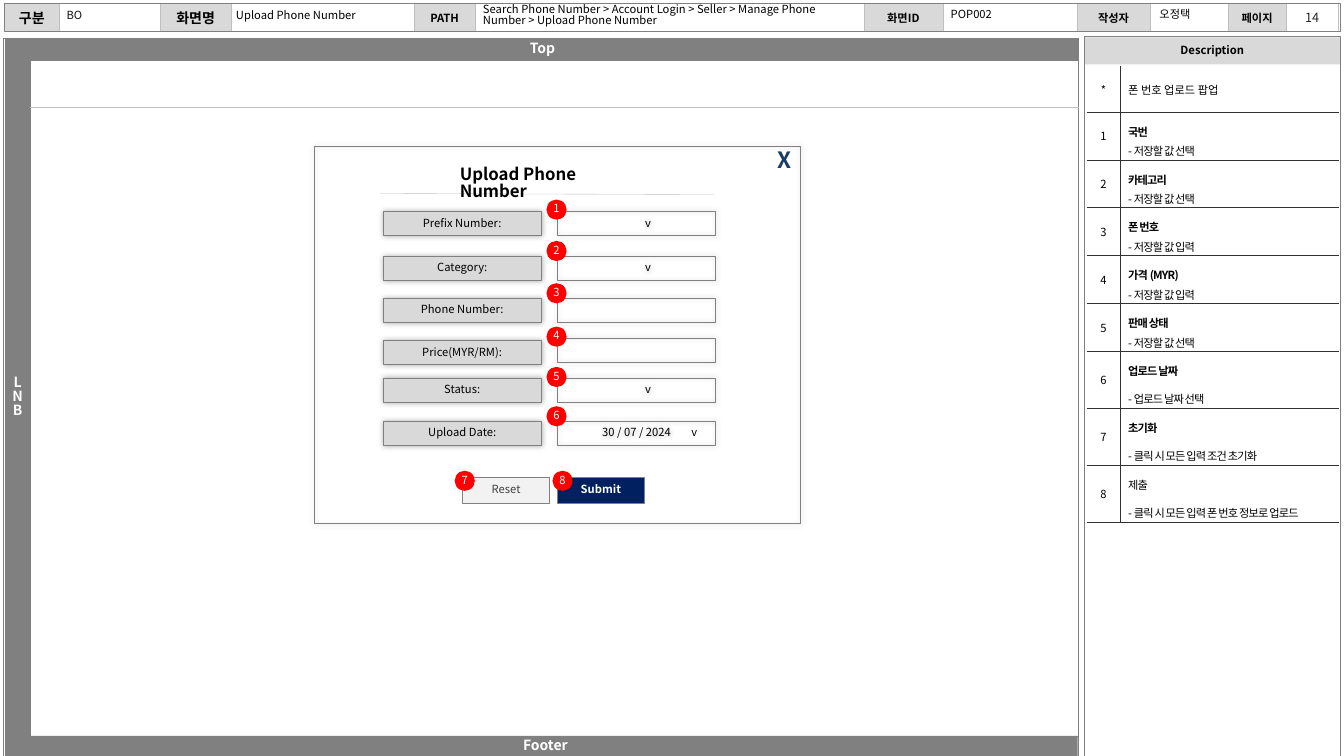
from dataclasses import dataclass

from lxml.etree import SubElement
from pptx import Presentation
from pptx.dml.color import RGBColor
from pptx.enum.shapes import MSO_CONNECTOR, MSO_SHAPE
from pptx.enum.text import MSO_ANCHOR, MSO_AUTO_SIZE, PP_ALIGN
from pptx.oxml.ns import qn
from pptx.util import Inches, Pt


@dataclass(frozen=True)
class Theme:
    """Colours, type sizes and line widths of the screen specification."""
    font: str = "Noto Sans CJK KR"
    white: str = "FFFFFF"
    black: str = "000000"
    dark: str = "262626"
    value: str = "111111"
    muted: str = "404040"
    frame: str = "808080"
    rule: str = "BFBFBF"
    grid: str = "313131"
    label: str = "D9D9D9"
    pale: str = "F2F2F2"
    navy: str = "002060"
    close: str = "1C3D62"
    badge: str = "FF0000"
    small: int = 8
    folio: int = 9
    medium: int = 10
    heading: int = 12
    large: int = 16
    hair: float = 0.25
    thin: float = 0.5
    tight: float = 0.82
    loose: float = 1.2


class SpecPage:
    """Draws one specification page on a grid of tenths of an inch."""

    def __init__(self, deck, theme):
        """Open a titled page in the deck."""
        self.theme = theme
        self.page = deck.slides.add_slide(deck.slide_layouts[5])
        self.shapes = self.page.shapes

    def cells(self, *lengths):
        """Turn grid columns and rows into lengths."""
        return [Inches(length / 10) for length in lengths]

    def style(self, para, size=None, color=None, bold=False, align=PP_ALIGN.LEFT,
              spacing=None, after=0, tracking=0):
        """Format a whole paragraph."""
        font = para.font
        font.size, font.bold, font.name = Pt(size or self.theme.small), bold, self.theme.font
        font.color.rgb = RGBColor.from_string(color or self.theme.black)
        properties = font._element
        properties.set("spc", str(tracking))
        SubElement(properties, qn("a:ea"), typeface=self.theme.font)
        para.alignment, para.space_after = align, Pt(after)
        para.line_spacing = spacing or self.theme.tight

    def fill_text(self, holder, text, anchor=MSO_ANCHOR.MIDDLE, insets=(0.5, 0.5, 0.5, 0.5),
                  **look):
        """Put one styled paragraph per line into a shape."""
        frame = holder.text_frame
        frame.word_wrap, frame.auto_size = True, MSO_AUTO_SIZE.NONE
        frame.vertical_anchor = anchor
        (frame.margin_left, frame.margin_top,
         frame.margin_right, frame.margin_bottom) = self.cells(*insets)
        frame.text = text
        for para in frame.paragraphs:
            self.style(para, **look)

    def box(self, place, fill=None, line=None, width=None, text="", kind=MSO_SHAPE.RECTANGLE,
            shadow=False, **look):
        """Add a preset shape with optional text and soft shadow."""
        shape = self.shapes.add_shape(kind, *self.cells(*place))
        shape.shadow.inherit = False
        if fill:
            shape.fill.solid()
            shape.fill.fore_color.rgb = RGBColor.from_string(fill)
        else:
            shape.fill.background()
        if line:
            shape.line.color.rgb = RGBColor.from_string(line)
            shape.line.width = Pt(width or self.theme.thin)
        else:
            shape.line.fill.background()
        if shadow:
            effects = shape._element.spPr.find(qn("a:effectLst"))
            outer = SubElement(effects, qn("a:outerShdw"), blurRad=str(Pt(4)), dist="0")
            color = SubElement(outer, qn("a:srgbClr"), val=self.theme.black)
            SubElement(color, qn("a:alpha"), val="30000")
        if text:
            self.fill_text(shape, text,
                           **{"align": PP_ALIGN.CENTER, "insets": (0, 0, 0, 0), **look})

    def text(self, place, text, anchor=MSO_ANCHOR.TOP, **look):
        """Add a text box."""
        self.fill_text(self.shapes.add_textbox(*self.cells(*place)), text, anchor, **look)

    def title(self, place, text, **look):
        """Place and format the page title above what is drawn so far."""
        title = self.shapes.title
        self.shapes._spTree.append(title._element)
        title.left, title.top, title.width, title.height = self.cells(*place)
        self.fill_text(title, text, MSO_ANCHOR.TOP, **look)

    def rule(self, *ends):
        """Add a hairline between two grid points."""
        line = self.shapes.add_connector(MSO_CONNECTOR.STRAIGHT, *self.cells(*ends))
        line.line.color.rgb = RGBColor.from_string(self.theme.rule)
        line.line.width = Pt(self.theme.hair)
        SubElement(line._element.spPr, qn("a:effectLst"))

    def badge(self, left, top, number):
        """Add a numbered red marker."""
        self.box((left, top, 2, 2), self.theme.badge, text=str(number),
                 kind=MSO_SHAPE.OVAL, color=self.theme.white)

    def table(self, left, top, columns, rows):
        """Add an unstyled table with the given column widths and row heights."""
        place = self.cells(left, top, sum(columns), sum(rows))
        table = self.shapes.add_table(len(rows), len(columns), *place).table
        table.first_row = table.horz_banding = False
        for column, width in zip(table.columns, self.cells(*columns)):
            column.width = width
        for row, height in zip(table.rows, self.cells(*rows)):
            row.height = height
        return table

    def cell(self, cell, text, borders, fill=None, insets=(0.8, 0.5, 0.8, 0.5),
             anchor=MSO_ANCHOR.MIDDLE):
        """Fill a table cell and draw its left, right, top and bottom borders."""
        (cell.margin_left, cell.margin_top,
         cell.margin_right, cell.margin_bottom) = self.cells(*insets)
        cell.vertical_anchor = anchor
        cell.text_frame.text = text
        properties = cell._tc.get_or_add_tcPr()
        for side, color in zip("LRTB", borders):
            line = SubElement(properties, qn(f"a:ln{side}"), w=str(Pt(self.theme.hair)))
            SubElement(SubElement(line, qn("a:solidFill")), qn("a:srgbClr"), val=color)
        if fill:
            cell.fill.solid()
            cell.fill.fore_color.rgb = RGBColor.from_string(fill)
        else:
            cell.fill.background()
        if not text:
            SubElement(cell.text_frame.paragraphs[0]._p, qn("a:endParaRPr"),
                       sz=str(100 * self.theme.small))
        return cell.text_frame.paragraphs


def draw_frame(spec, theme):
    """Draw the header table, the bars and the description panel."""
    spec.box((0.3, 3.8, 106.7, 71.2), theme.white, theme.frame)
    spec.box((107.6, 3.7, 25.3, 2.7), theme.label, text="Description", bold=True)
    widths = (5.5, 10, 7, 18.2, 6, 38.6, 7.8, 13.3, 7.3, 7.7, 5.8, 5.1)
    labels = ("구분", "화면명", "PATH", "화면ID", "작성자", "페이지")
    header = spec.table(0.4, 0.3, widths, (2.8,))
    borders = (theme.rule, theme.rule, theme.white, theme.white)
    for index, label in enumerate(labels):
        size = theme.medium if index < 2 else theme.small
        para, = spec.cell(header.cell(0, 2 * index), label, borders, theme.label,
                          (0.4, 0.4, 0.4, 0.4))
        spec.style(para, size, bold=True, align=PP_ALIGN.CENTER, spacing=1)
        spec.cell(header.cell(0, 2 * index + 1), "", borders)
    spec.box((0.4, 0.3, 132.5, 2.8), line=theme.frame)
    spec.box((107.6, 3.6, 25.3, 71.4), line=theme.frame)
    bars = (((0.5, 3.8, 2.5, 71.2), "LNB"), ((1.3, 73, 105.6, 2), "Footer"),
            ((0.7, 3.8, 106.2, 2.2), "Top"))
    for place, text in bars:
        spec.box(place, theme.frame, theme.frame, theme.hair, text, size=theme.medium,
                 color=theme.white, bold=True, insets=(0.4, 0, 0.4, 0))
    values = (((6.1, 0.6, 9.5, 2.4), "BO", theme.value),
              ((22.9, 0.6, 18.1, 2.4), "Upload Phone Number", theme.black),
              ((47.4, 0, 38.5, 3.7), "Search Phone Number > Account Login > Seller > Manage Phone\n"
               "Number > Upload Phone Number", theme.black),
              ((93.8, 0.5, 7.3, 2.4), "POP002", theme.black),
              ((114.5, 0.5, 7.3, 2.4), "오정택", theme.black))
    for place, text, color in values:
        spec.text(place, text, color=color)
    spec.text((127.8, 0.5, 4.7, 2.8), "14", MSO_ANCHOR.MIDDLE, size=theme.folio,
              color=theme.dark, align=PP_ALIGN.CENTER)
    spec.rule(3, 10.6, 107, 10.6)


def draw_popup(spec, theme):
    """Draw the upload dialog with its fields and buttons."""
    spec.box((31.2, 14.5, 48.2, 37.4), line=theme.frame, shadow=True)
    spec.rule(37.7, 19.2, 70.8, 19.3)
    spec.title((45.1, 16.1, 14, 4.8), "Upload Phone Number", size=theme.heading, bold=True)
    spec.text((73, 14.5, 6.5, 3.7), "X", size=theme.large, color=theme.close, bold=True,
              align=PP_ALIGN.RIGHT, insets=(1, 0.5, 1, 0.5))
    picker = {"text": "v", "align": PP_ALIGN.LEFT, "insets": (8.7, 0, 0, 0)}
    fields = (("Prefix Number:", 21, 21, 19.8, picker), ("Category:", 25.4, 25.4, 23.9, picker),
              ("Phone Number:", 29.6, 29.6, 28.1, {}), ("Price(MYR/RM):", 33.8, 33.6, 32.4, {}),
              ("Status:", 37.5, 37.5, 36.4, picker),
              ("Upload Date:", 41.8, 41.8, 40.3, {"text": "30 / 07 / 2024"}))
    for number, (label, label_top, field_top, badge_top, content) in enumerate(fields, 1):
        spec.box((38, label_top, 15.7, 2.4), theme.label, theme.frame, text=label, shadow=True)
        spec.box((55.3, field_top, 15.7, 2.4), line=theme.frame, shadow=True, **content)
        spec.badge(54.2, badge_top, number)
    spec.text((67.6, 41.8, 5.7, 2.4), "v", MSO_ANCHOR.MIDDLE, insets=(1, 0, 1, 0))
    buttons = (("Reset", 45.9, 45.1, theme.pale, theme.muted, False),
               ("Submit", 55.3, 54.8, theme.navy, theme.white, True))
    for number, (text, left, badge_left, fill, color, bold) in enumerate(buttons, 7):
        spec.box((left, 47.4, 8.6, 2.5), fill, theme.frame, text=text, color=color, bold=bold)
        spec.badge(badge_left, 46.7, number)


def draw_descriptions(spec, theme):
    """List what each numbered element does."""
    notes = (("폰 번호 업로드 팝업",), ("국번", "- 저장할 값 선택"), ("카테고리", "- 저장할 값 선택"),
             ("폰 번호", "- 저장할 값 입력"), ("가격 (MYR)", "- 저장할 값 입력"),
             ("판매 상태", "- 저장할 값 선택"), ("업로드 날짜", "- 업로드 날짜 선택"),
             ("초기화", "- 클릭 시 모든 입력 조건 초기화"),
             ("제출", "- 클릭 시 모든 입력 폰 번호 정보로 업로드"))
    table = spec.table(107.8, 6.6, (3.3, 21.7), (4.5,) + (4.75,) * 5 + (5.65,) * 3)
    for row, lines in enumerate(notes):
        top = theme.grid if row else theme.white
        para, = spec.cell(table.cell(row, 0), str(row) if row else "*",
                          (theme.white, theme.grid, top, theme.grid), theme.white)
        spec.style(para, align=PP_ALIGN.CENTER, spacing=1)
        insets, anchor = (((0.8, 0.8, 0.8, 0), MSO_ANCHOR.TOP) if row
                          else ((0.8, 0.5, 0.8, 0.5), MSO_ANCHOR.MIDDLE))
        paras = spec.cell(table.cell(row, 1), "\n".join(lines),
                          (theme.grid, theme.white, top, theme.grid), theme.white, insets, anchor)
        for index, para in enumerate(paras):
            spec.style(para, bold=index == 0 and 0 < row < 8, spacing=theme.loose if row else 1,
                       after=6 if row > 5 and index == 0 else 0, tracking=-60 if row else 0)


def main():
    """Build the page and save the deck."""
    deck = Presentation()
    deck.slide_width, deck.slide_height = Inches(13.33), Inches(7.5)
    theme = Theme()
    spec = SpecPage(deck, theme)
    draw_frame(spec, theme)
    draw_popup(spec, theme)
    draw_descriptions(spec, theme)
    deck.save("out.pptx")


if __name__ == "__main__":
    main()
